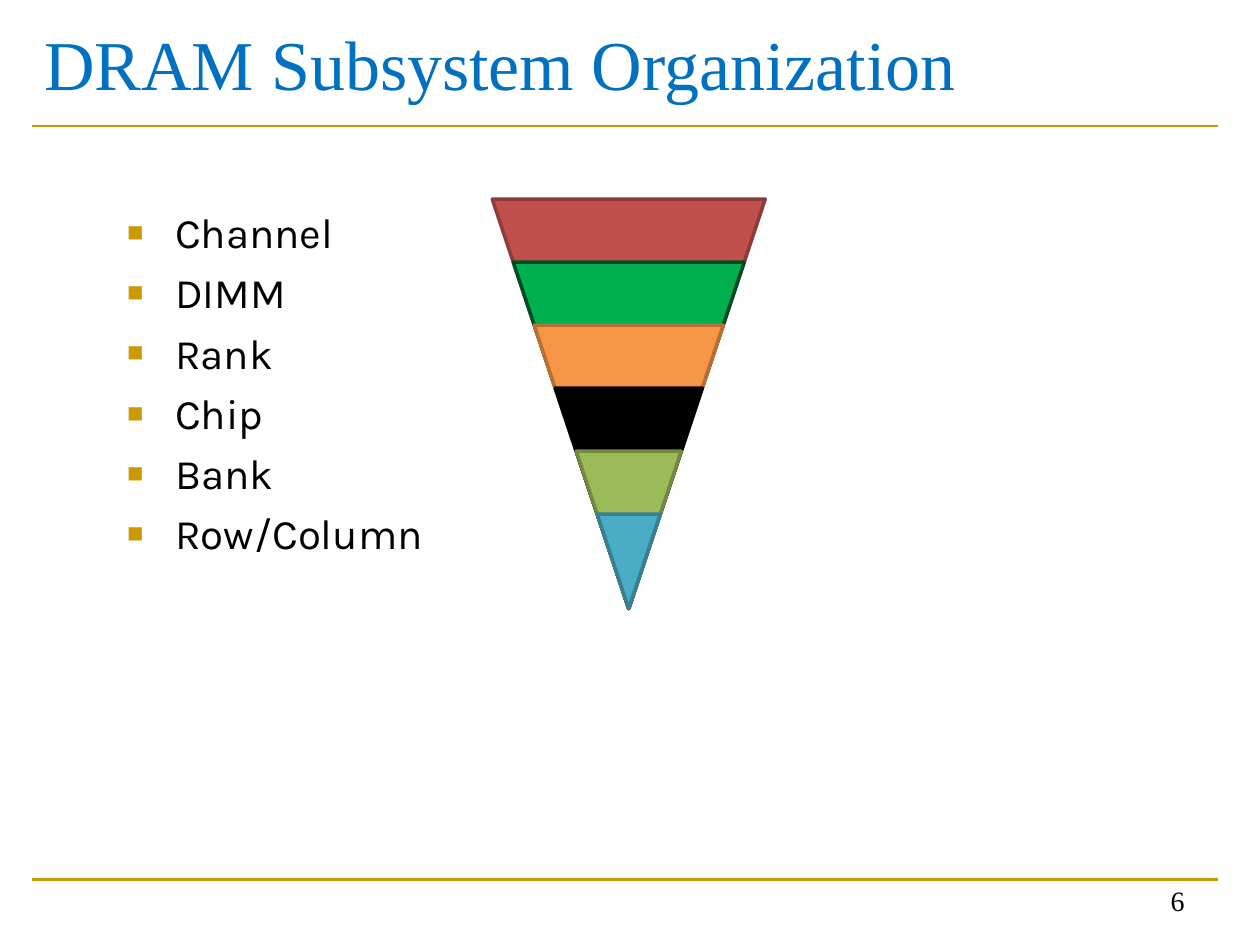
"""Build the slide on how a DRAM subsystem is organized."""
from lxml.etree import SubElement
from pptx import Presentation
from pptx.dml.color import RGBColor
from pptx.enum.shapes import MSO_CONNECTOR, MSO_SHAPE
from pptx.enum.text import MSO_ANCHOR, PP_ALIGN
from pptx.oxml.ns import qn
from pptx.util import Inches, Pt

GOLD = RGBColor(0xCC, 0x99, 0x00)
BLUE = RGBColor(0x00, 0x70, 0xC0)
BLACK = RGBColor(0x00, 0x00, 0x00)
LEVELS = [
    ("Channel", RGBColor(0xC0, 0x50, 0x4D), RGBColor(0x8E, 0x3B, 0x39)),
    ("DIMM", RGBColor(0x00, 0xB0, 0x50), RGBColor(0x00, 0x4C, 0x22)),
    ("Rank", RGBColor(0xF7, 0x96, 0x46), RGBColor(0xB7, 0x6F, 0x34)),
    ("Chip", BLACK, BLACK),
    ("Bank", RGBColor(0x9B, 0xBB, 0x59), RGBColor(0x73, 0x8A, 0x42)),
    ("Row/Column", RGBColor(0x4B, 0xAC, 0xC6), RGBColor(0x37, 0x7F, 0x92)),
]


def write(par, text, font="Times New Roman", size=16, color=BLACK, align=PP_ALIGN.LEFT):
    """Put formatted text into a paragraph."""
    par.alignment = align
    run = par.add_run()
    run.text = text
    run.font.name = font
    run.font.size = Pt(size)
    run.font.color.rgb = color


def place(shape, left, top, width, height):
    """Move and size a shape, in inches."""
    shape.left, shape.top = Inches(left), Inches(top)
    shape.width, shape.height = Inches(width), Inches(height)


class Deck:
    """Hold the style and the current slide."""

    def __init__(self, show, rule=GOLD, font="Karla"):
        self.rule, self.font = rule, font
        self.slide = show.slides.add_slide(show.slide_layouts[1])

    def title(self, text):
        """Fill the title placeholder."""
        shape = self.slide.shapes.title
        place(shape, 0.25, 0, 9.42, 0.99)
        shape.text_frame.vertical_anchor = MSO_ANCHOR.MIDDLE
        write(shape.text_frame.paragraphs[0], text, size=40, color=BLUE)

    def bullet(self, par):
        """Give a paragraph a square bullet and a hanging indent."""
        props = par._p.get_or_add_pPr()
        props.set("marL", str(Inches(0.38)))
        props.set("indent", str(-Inches(0.38)))
        tint = SubElement(props, qn("a:buClr"))
        SubElement(tint, qn("a:srgbClr"), val=str(self.rule))
        SubElement(props, qn("a:buSzPct"), val="65000")
        SubElement(props, qn("a:buFont"), typeface="Arial")
        SubElement(props, qn("a:buChar"), char="■")

    def items(self, names):
        """Fill the body placeholder with a bullet list."""
        shape = self.slide.placeholders[1]
        place(shape, 0.91, 1.59, 8.19, 5.18)
        frame = shape.text_frame
        for num, name in enumerate(names):
            par = frame.add_paragraph() if num else frame.paragraphs[0]
            par.space_before, par.space_after = Pt(0), Pt(5.6)
            write(par, name, font=self.font, size=24)
            self.bullet(par)

    def line(self, top):
        """Draw a rule across the slide."""
        rule = self.slide.shapes.add_connector(
            MSO_CONNECTOR.STRAIGHT, Inches(0.25), Inches(top), Inches(9.67), Inches(top))
        rule.line.color.rgb = self.rule
        rule.line.width = Pt(1.5)
        SubElement(rule._element.spPr, qn("a:effectLst"))

    def number(self, text):
        """Add the page number."""
        box = self.slide.shapes.add_textbox(
            Inches(7.17), Inches(6.83), Inches(2.33), Inches(0.5))
        box.text_frame.word_wrap = True
        box.text_frame.vertical_anchor = MSO_ANCHOR.BOTTOM
        write(box.text_frame.paragraphs[0], text, align=PP_ALIGN.RIGHT)

    def wedge(self, left, top, width, height, fill, edge):
        """Add a triangle that points down."""
        shape = self.slide.shapes.add_shape(
            MSO_SHAPE.FLOWCHART_MERGE, Inches(left), Inches(top), Inches(width), Inches(height))
        shape.shadow.inherit = False
        shape.fill.solid()
        shape.fill.fore_color.rgb = fill
        shape.line.color.rgb = edge
        shape.line.width = Pt(2)


def main():
    """Build and save the deck."""
    show = Presentation()
    show.slide_width, show.slide_height = Inches(10), Inches(7.5)
    deck = Deck(show)
    for top in (6.98, 1):
        deck.line(top)
    deck.title("DRAM Subsystem Organization")
    deck.items([name for name, _, _ in LEVELS])
    deck.number("6")
    for num, (_, fill, edge) in enumerate(LEVELS):
        drop = num * 0.5
        height = 3.25 - drop
        width = height * 2 / 3
        deck.wedge(4.99 - width / 2, 1.58 + drop, width, height, fill, edge)
    show.save("out.pptx")


if __name__ == "__main__":
    main()
